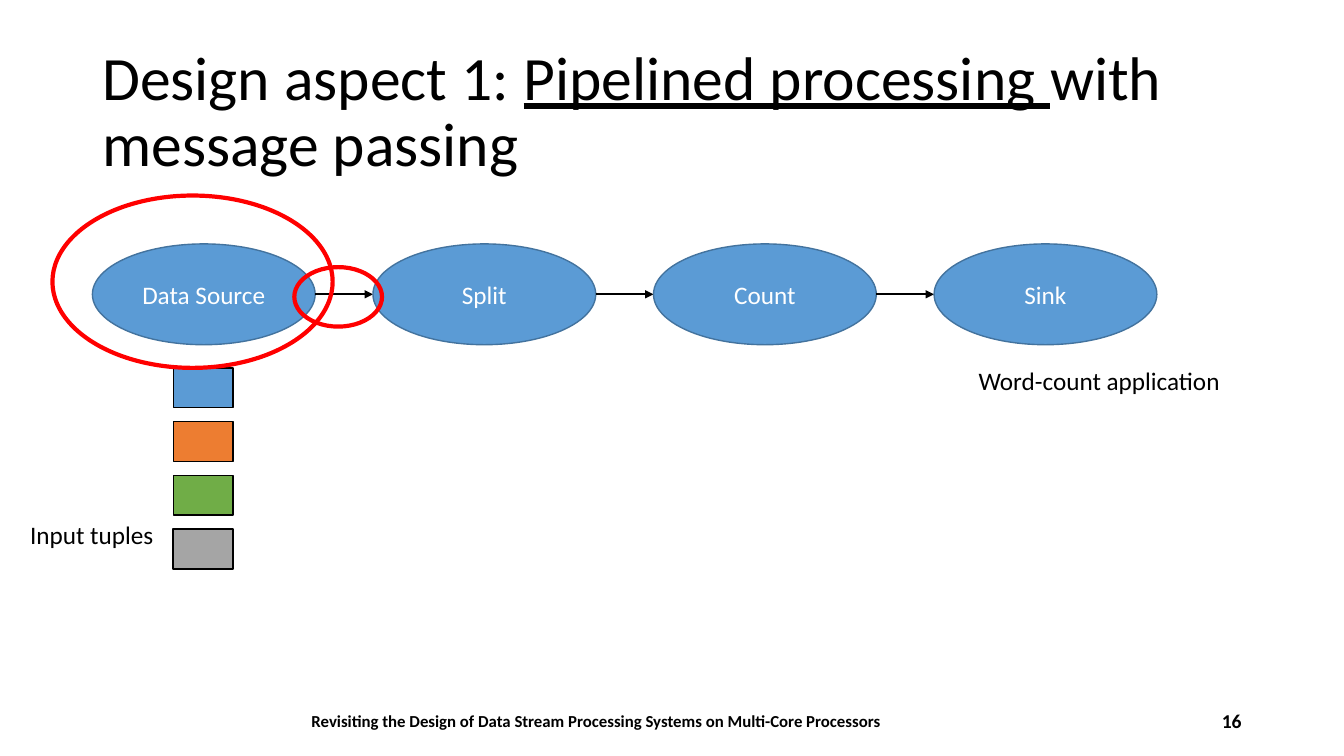
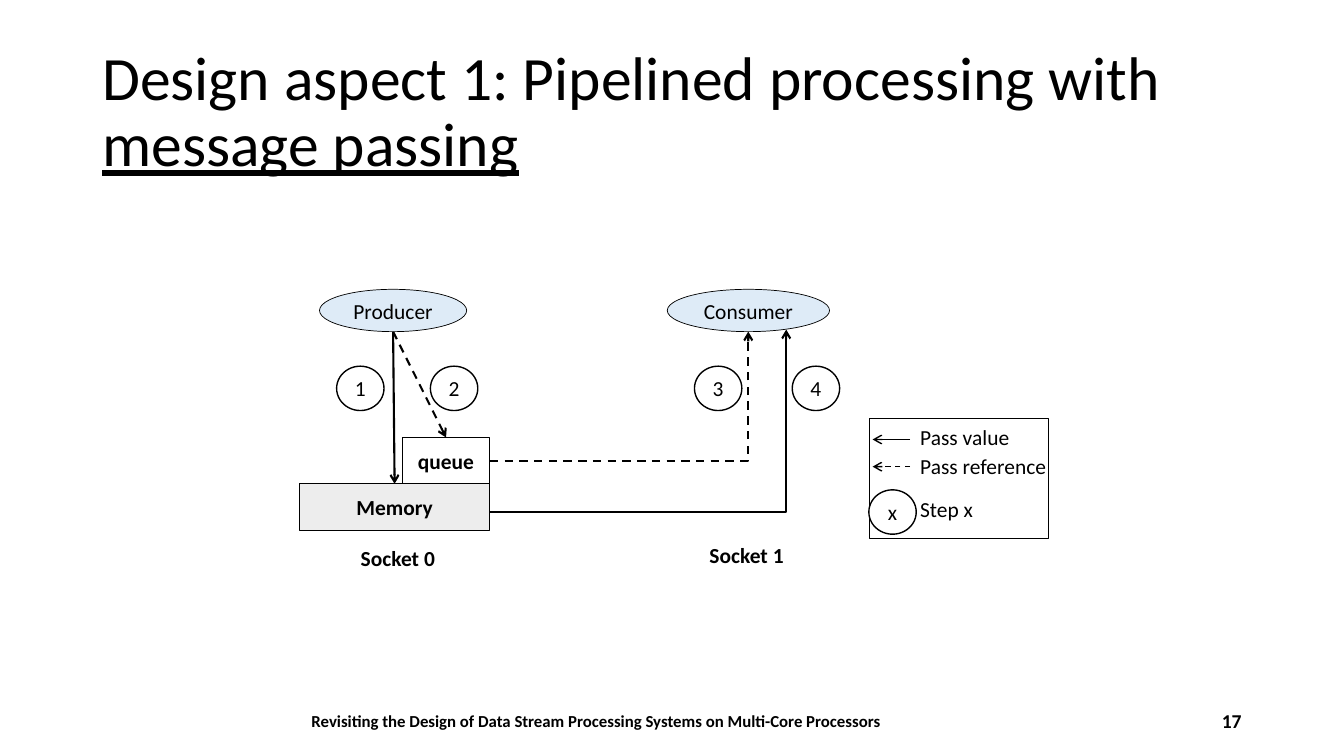
from pptx import Presentation
from pptx.dml.color import RGBColor
from pptx.enum.dml import MSO_LINE
from pptx.enum.shapes import MSO_CONNECTOR, MSO_SHAPE
from pptx.enum.text import MSO_ANCHOR, PP_ALIGN
from pptx.oxml.ns import qn
from pptx.util import Inches, Pt
from lxml import etree

RECT, OVAL = MSO_SHAPE.RECTANGLE, MSO_SHAPE.OVAL
LINE, BENT = MSO_CONNECTOR.STRAIGHT, MSO_CONNECTOR.ELBOW
LEFT, MID, RIGHT = PP_ALIGN.LEFT, PP_ALIGN.CENTER, PP_ALIGN.RIGHT
DASH = MSO_LINE.DASH
FONT = "Calibri"
BLACK, WHITE, RED = "000000", "FFFFFF", "FF0000"
BLUE, EDGE, PALE, GREY = "5B9BD5", "43739E", "DEEBF7", "EDEDED"

deck = Presentation()
deck.slide_width, deck.slide_height = Inches(13.333), Inches(7.5)
CELL = deck.slide_width / 40  # square grid: 40 columns, 22.5 rows
color = RGBColor.from_string


def box(host, kind, area, runs=(), size=15.3, ink=BLACK, bold=False,
        align=MID, fill=None, edge=BLACK, width=0.5, lead=1):
    """Shape, or plain text if kind is None; runs are (text, underline)."""
    area = [round(n * CELL) for n in area]
    if kind is None:
        item = host.add_textbox(*area)
    else:
        item = host.add_shape(kind, *area)
        item.shadow.inherit = False
        item.line.color.rgb = color(edge)
        item.line.width = Pt(width)
        if fill:
            item.fill.solid()
            item.fill.fore_color.rgb = color(fill)
        else:
            item.fill.background()
    frame = item.text_frame
    frame.word_wrap = True
    frame.vertical_anchor = MSO_ANCHOR.MIDDLE
    para = frame.paragraphs[0]
    para.alignment, para.line_spacing = align, lead
    for text, under in runs:
        run = para.add_run()
        run.text = text
        font = run.font
        font.name, font.size, font.bold = FONT, Pt(size), bold
        font.underline = under
        font.color.rgb = color(ink)
    return item


def arrow(host, ends, kind=LINE, dash=None, head="arrow", width=1.5):
    item = host.add_connector(kind, *[round(n * CELL) for n in ends])
    item.line.color.rgb = color(BLACK)
    item.line.width = Pt(width)
    if dash:
        item.line.dash_style = dash
    props = item.element.spPr
    if kind == BENT:
        props.find(qn("a:prstGeom")).set("prst", "bentConnector2")
    etree.SubElement(props.find(qn("a:ln")), qn("a:tailEnd"), type=head)
    etree.SubElement(props, qn("a:effectLst"))
    return item


# Shared title and footer
titles = [
    [("Design aspect 1: ", False), ("Pipelined processing ", True),
     ("with message passing", False)],
    [("Design aspect 1: Pipelined processing with ", False),
     ("message passing", True)],
]
foot = "Revisiting the Design of Data Stream Processing Systems on Multi-Core Processors"
pages = []
for num, title in enumerate(titles, 16):
    page = deck.slides.add_slide(deck.slide_layouts[6]).shapes
    box(page, None, (2.75, 1.2, 34.5, 4.35), title, 44, align=LEFT, lead=0.9)
    box(page, None, (8.75, 20.85, 18, 1.2), [(foot, False)], 12, bold=True)
    box(page, None, (28.25, 20.85, 9, 1.2), [(str(num), False)], 14,
        bold=True, align=RIGHT)
    pages.append(page)
flow, pass_by = pages

# Pipeline stages
step, wide, top, tall = 8.35, 6.63, 7.26, 3
stages = ["Data Source", "Split", "Count", "Sink"]
for i, name in enumerate(stages):
    x = 2.75 + i * step
    box(flow, OVAL, (x, top, wide, tall), [(name, False)], 18, WHITE,
        fill=BLUE, edge=EDGE, width=1)
    if i < len(stages) - 1:
        y = top + tall / 2
        arrow(flow, (x + wide, y, x + step, y), head="triangle")

# Input tuples
tuples = [(BLUE, 1), ("ED7D31", 1), ("70AD47", 1), ("A5A5A5", 1.5)]
for i, (fill, width) in enumerate(tuples):
    box(flow, RECT, (5.16, 10.95 + 1.6 * i, 1.78, 1.18), fill=fill, width=width)

# Red rings and labels
for area in [(1.56, 5.82, 8.34, 5.13), (8.76, 7.95, 2.61, 1.77)]:
    box(flow, OVAL, area, edge=RED, width=3)
for text, area in [("Input tuples", (0.6, 15.3, 4.6, 1.2)),
                   ("Word-count application", (28.83, 10.71, 8.4, 1.2))]:
    box(flow, None, area, [(text, False)], 18, align=LEFT)

# Memory, queue and sockets
memory = box(pass_by, RECT, (8.91, 14.4, 5.67, 1.38), [("Memory", False)],
             bold=True, fill=GREY)
queue = box(pass_by, RECT, (11.97, 13.02, 2.61, 1.38), [("queue", False)],
            bold=True)
for text, x, y in [("Socket 0", 10.44, 16.05), ("Socket 1", 20.82, 15.96)]:
    box(pass_by, None, (x, y, 3.3, 1.11), [(text, False)], bold=True, align=LEFT)

# Value and reference arrows
for goal, x, y, dash in [(memory, 11.75, 14.4, None), (queue, 13.28, 13.02, DASH)]:
    arrow(pass_by, (11.7, 9.87, x, y), dash=dash).end_connect(goal, 0)
arrow(pass_by, (14.58, 13.71, 22.27, 9.87), BENT, DASH)
arrow(pass_by, (14.58, 15.24, 23.4, 9.81), BENT)

# Producer, consumer and steps
for text, x, w in [("Producer", 9.51, 4.38), ("Consumer", 19.86, 4.83)]:
    box(pass_by, OVAL, (x, 8.61, w, 1.26), [(text, False)], fill=PALE)
for i, x in enumerate([10.02, 12.81, 20.67, 23.58], 1):
    box(pass_by, OVAL, (x, 10.9, 1.41, 1.32), [(str(i), False)],
        fill=WHITE, width=1)

# Legend
key = pass_by.add_group_shape().shapes
box(key, RECT, (25.86, 12.45, 5.34, 3.57))
for text, y in [("Pass value", 12.45), ("Pass reference", 13.32), ("Step x", 14.58)]:
    box(key, None, (27.09, y, 5.1, 1.11), [(text, False)], align=LEFT)
for y, dash in [(13.08, None), (13.89, DASH)]:
    arrow(key, (27.09, y, 25.97, y), dash=dash, width=1)
box(key, OVAL, (25.86, 14.58, 1.41, 1.32), [("x", False)], fill=WHITE, width=1)

deck.save("out.pptx")
